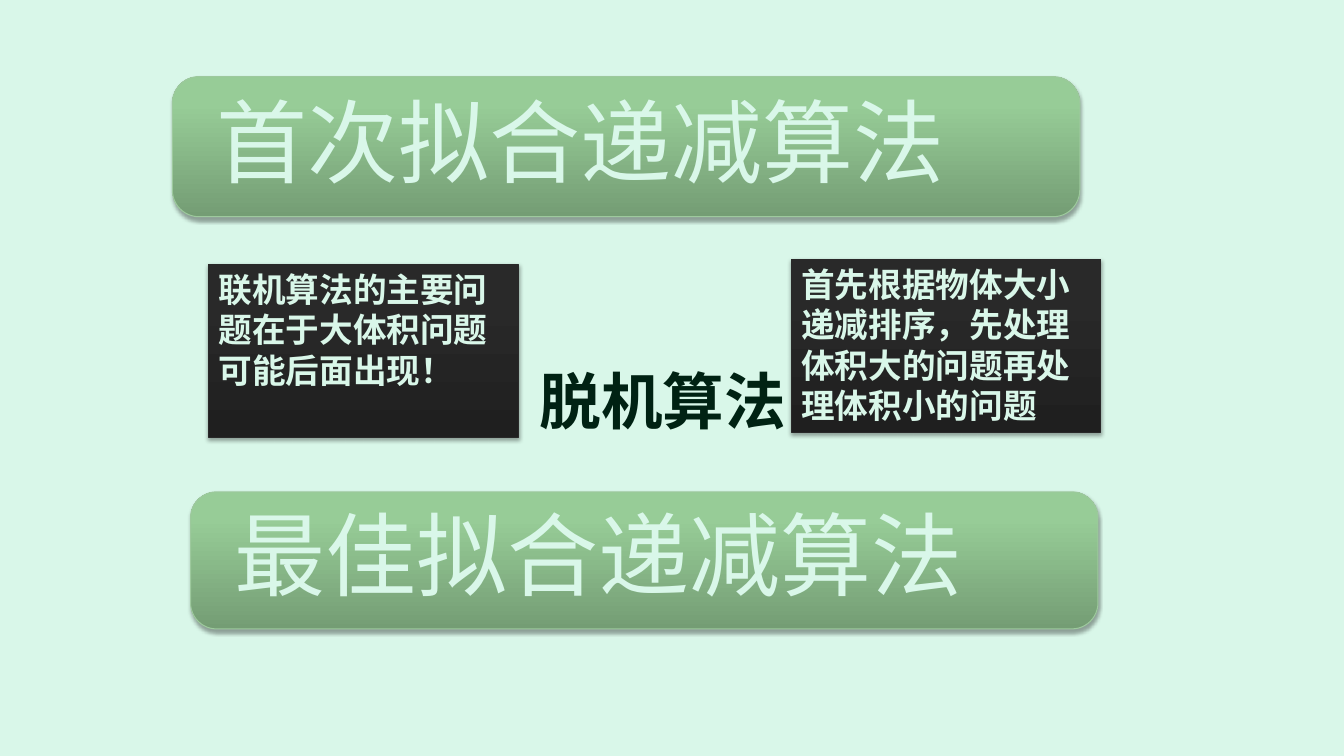
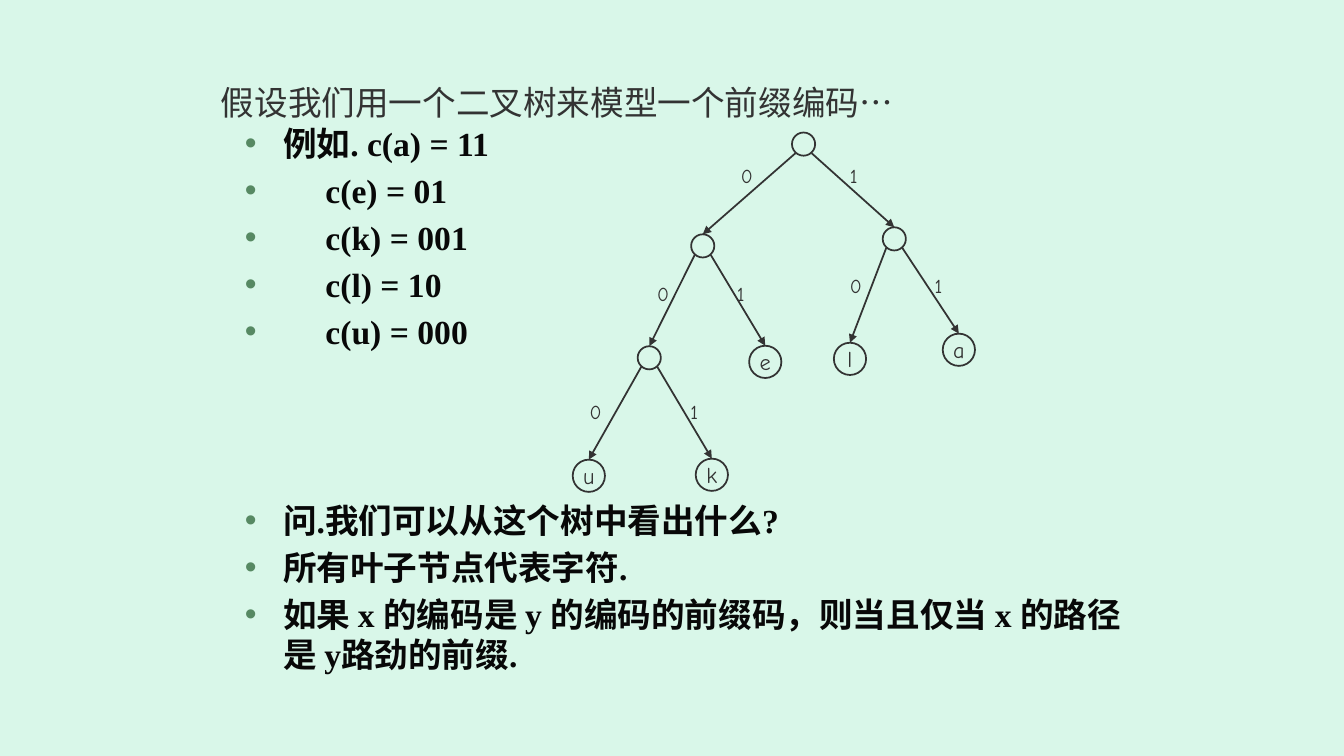
import pptx
import pptx.dml.color
import pptx.enum.dml
import pptx.enum.lang
import pptx.enum.shapes
import pptx.enum.text
import pptx.oxml
import pptx.oxml.ns
import pptx.util
from lxml import etree

Inches = pptx.util.Inches
Pt = pptx.util.Pt
RGBColor = pptx.dml.color.RGBColor
Shapes = pptx.enum.shapes.MSO_SHAPE
Anchor = pptx.enum.text.MSO_ANCHOR
Align = pptx.enum.text.PP_ALIGN
qn = pptx.oxml.ns.qn

MINT = RGBColor(0xD9, 0xF7, 0xE9)
DEEP_GREEN = RGBColor(0x00, 0x22, 0x13)
BULLET_GREEN = RGBColor(0x57, 0x89, 0x63)
BAR_DARK = RGBColor(0x74, 0x9D, 0x74)
BAR_LIGHT = RGBColor(0x97, 0xCC, 0x97)
BAR_EDGE = RGBColor(0x9D, 0xC9, 0x9D)
NOTE_DARK = RGBColor(0x1F, 0x1F, 0x1F)
NOTE_LIGHT = RGBColor(0x29, 0x29, 0x29)
INK = RGBColor(0x33, 0x33, 0x33)
BODY_INK = RGBColor(0x08, 0x08, 0x08)

SERIF = "Times New Roman"
SANS = "Arial"
HAND = "Comic Neue"

TREE_NODES = {
    "root": (2.29, 0.12, ""),
    "0": (1.29, 1.13, ""),
    "1": (3.19, 1.06, ""),
    "00": (0.76, 2.24, ""),
    "01": (1.91, 2.28, "e"),
    "10": (2.75, 2.25, "l"),
    "11": (3.83, 2.16, "a"),
    "000": (0.16, 3.41, "u"),
    "001": (1.38, 3.4, "k"),
}
BIT_LABELS = {
    "0": (1.57, 0.27),
    "1": (2.65, 0.27),
    "00": (0.74, 1.44),
    "01": (1.53, 1.44),
    "10": (2.65, 1.36),
    "11": (3.49, 1.36),
    "000": (0.07, 2.61),
    "001": (1.07, 2.61),
}


def inches(*lengths):
    return [Inches(length) for length in lengths]


def add_bullet(paragraph, indent):
    properties = paragraph._p.get_or_add_pPr()
    properties.set("marL", str(Inches(indent)))
    properties.set("indent", str(-Inches(indent)))
    color = etree.SubElement(properties, qn("a:buClr"))
    etree.SubElement(color, qn("a:srgbClr"), val=str(BULLET_GREEN))
    etree.SubElement(properties, qn("a:buFont"), typeface=SANS)
    etree.SubElement(properties, qn("a:buChar"), char="•")


def write_text(shape, *texts, size, color, font=SERIF, bold=False, align=Align.LEFT,
               anchor=Anchor.TOP, wrap=True, indents=None, gap=0, line_spacing=None):
    frame = shape.text_frame
    frame.word_wrap = wrap
    frame.auto_size = pptx.enum.text.MSO_AUTO_SIZE.NONE
    frame.vertical_anchor = anchor
    for index, text in enumerate(texts):
        paragraph = frame.paragraphs[0] if index == 0 else frame.add_paragraph()
        if indents:
            add_bullet(paragraph, indents[index])
        paragraph.alignment = align
        paragraph.space_before = Pt(gap if index else 0)
        if line_spacing:
            paragraph.line_spacing = line_spacing
        run = paragraph.add_run()
        run.text = text
        run.font.size = Pt(size)
        run.font.name = font
        run.font.bold = bold
        run.font.color.rgb = color
        run.font.language_id = pptx.enum.lang.MSO_LANGUAGE_ID.SIMPLIFIED_CHINESE


def place_title(slide, box, text, **style):
    title = slide.shapes.title
    title.left, title.top, title.width, title.height = inches(*box)
    write_text(title, text, **style)


def add_raised_panel(slide, preset, box, dark, light, edge):
    panel = slide.shapes.add_shape(preset, *inches(*box))
    panel.fill.gradient()
    panel.fill.gradient_angle = 90
    for stop, position, color in zip(panel.fill.gradient_stops, (0, 0.8), (dark, light)):
        stop.position = position
        stop.color.rgb = color
    panel.line.color.rgb = edge
    panel.line.width = Pt(0.75)
    panel.shadow.inherit = False
    effects = panel._element.spPr.find(qn("a:effectLst"))
    shadow = etree.SubElement(effects, qn("a:outerShdw"), blurRad=str(Pt(3.1)),
                              dist=str(Pt(1.8)), dir="5400000", rotWithShape="0")
    shade = etree.SubElement(shadow, qn("a:srgbClr"), val="000000")
    etree.SubElement(shade, qn("a:alpha"), val="35000")
    return panel


def add_algorithm_bar(slide, box, text):
    bar = add_raised_panel(slide, Shapes.ROUNDED_RECTANGLE, box, BAR_DARK, BAR_LIGHT, BAR_EDGE)
    bar.adjustments[0] = 0.19
    frame = bar.text_frame
    frame.margin_left = frame.margin_right = Inches(0.36)
    frame.margin_top = frame.margin_bottom = Inches(0.36)
    write_text(bar, text, size=65, color=MINT, anchor=Anchor.MIDDLE, line_spacing=0.9)


def add_note(slide, box, text):
    note = add_raised_panel(slide, Shapes.RECTANGLE, box, NOTE_DARK, NOTE_LIGHT, NOTE_LIGHT)
    write_text(note, text, size=24, color=MINT, bold=True)


def add_bullets(slide, box, texts, indents):
    bullets = slide.shapes.add_textbox(*inches(*box))
    write_text(bullets, *texts, size=24, color=BODY_INK, bold=True, indents=indents, gap=4.8)


def add_tree_node(slide, x, y, letter):
    radius = 0.16 if letter else 0.115
    node = slide.shapes.add_shape(
        Shapes.OVAL, *inches(x - radius, y - radius, 2 * radius, 2 * radius))
    node.fill.background()
    node.line.color.rgb = INK
    node.line.width = Pt(1.25)
    node.shadow.inherit = False
    if letter:
        write_text(node, letter, size=16, color=INK, font=HAND, align=Align.CENTER,
                   anchor=Anchor.MIDDLE, wrap=False)


def add_branch(slide, start, end):
    branch = slide.shapes.add_connector(
        pptx.enum.shapes.MSO_CONNECTOR.STRAIGHT, *inches(*start, *end))
    branch.line.color.rgb = INK
    branch.line.width = Pt(1.25)
    etree.SubElement(branch.line._get_or_add_ln(), qn("a:tailEnd"), type="triangle")
    etree.SubElement(branch._element.spPr, qn("a:effectLst"))


def add_code_tree(slide, left, top):
    for x, y, letter in TREE_NODES.values():
        add_tree_node(slide, left + x, top + y, letter)
    for code, (label_x, label_y) in BIT_LABELS.items():
        parent_x, parent_y, _ = TREE_NODES[code[:-1] or "root"]
        child_x, child_y, letter = TREE_NODES[code]
        bit = code[-1]
        side = -0.08 if bit == "0" else 0.08
        rise = 0.16 if letter else 0.115
        add_branch(slide, (left + parent_x + side, top + parent_y + 0.09),
                   (left + child_x, top + child_y - rise))
        label = slide.shapes.add_textbox(*inches(left + label_x, top + label_y, 0.32, 0.34))
        write_text(label, bit, size=14, color=INK, font=HAND, wrap=False)


def build_offline_slide(slide):
    place_title(slide, (5.25, 2.53, 2.83, 1.85), "脱机算法", size=44, color=DEEP_GREEN,
                bold=True, anchor=Anchor.BOTTOM)
    add_algorithm_bar(slide, (1.71, 0.76, 9, 1.39), "首次拟合递减算法")
    add_algorithm_bar(slide, (1.89, 4.88, 9, 1.36), "最佳拟合递减算法")
    add_note(slide, (2.07, 2.62, 3.07, 1.72), "联机算法的主要问题在于大体积问题可能后面出现！")
    add_note(slide, (7.85, 2.57, 3.07, 1.72),
             "首先根据物体大小递减排序，先处理体积大的问题再处理体积小的问题")


def build_prefix_slide(slide):
    place_title(slide, (2.09, 0.76, 7.5, 0.5), "假设我们用一个二叉树来模型一个前缀编码…",
                size=24, color=INK, font=SANS)
    add_bullets(slide, (2.33, 1.17, 3.2, 2.45),
                ["例如. c(a) = 11", "c(e) = 01", "c(k) = 001", "c(l) = 10", "c(u) = 000"],
                [0.38] + [0.8] * 4)
    add_bullets(slide, (2.33, 4.91, 9, 1.9),
                ["问.我们可以从这个树中看出什么?", "所有叶子节点代表字符.",
                 "如果 x 的编码是 y 的编码的前缀码，则当且仅当 x 的路径是 y路劲的前缀."],
                [0.38] * 3)
    add_code_tree(slide, 5.68, 1.31)


def main():
    deck = pptx.Presentation()
    deck.slide_width, deck.slide_height = inches(13.33, 7.5)
    backdrop = deck.slide_master.background.fill
    backdrop.solid()
    backdrop.fore_color.rgb = MINT
    title_only = deck.slide_layouts[5]
    for build in (build_offline_slide, build_prefix_slide):
        build(deck.slides.add_slide(title_only))
    deck.save("out.pptx")


if __name__ == "__main__":
    main()
